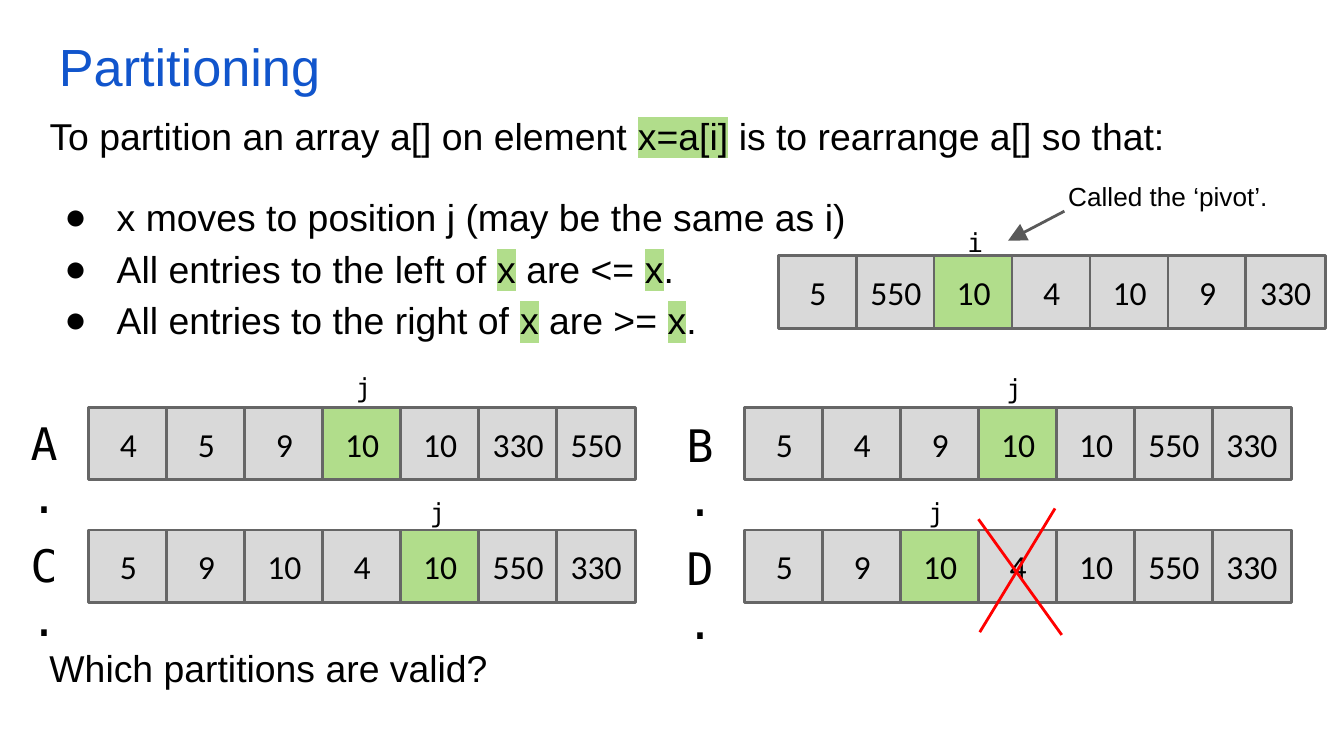
from dataclasses import dataclass

from lxml.etree import SubElement
from pptx import Presentation
from pptx.dml.color import RGBColor
from pptx.enum.shapes import MSO_CONNECTOR, MSO_SHAPE
from pptx.enum.text import MSO_ANCHOR, PP_ALIGN
from pptx.oxml.ns import qn
from pptx.util import Inches, Pt

SLIDE_W = Inches(10)
SLIDE_H = SLIDE_W * 9 // 16


@dataclass(frozen=True)
class Theme:
    heading: str = "1155CC"
    ink: str = "000000"
    pivot: str = "B1DD8B"
    cell: str = "D9D9D9"
    border: str = "666666"
    arrow: str = "595959"
    cross: str = "FF0000"
    sans: str = "Arial"
    digits: str = "Calibri"
    mono: str = "DejaVu Sans Mono"
    title_size: int = 28
    label_size: int = 24
    body_size: int = 20
    cell_size: int = 18
    note_size: int = 14
    line_width: float = 1.5


THEME = Theme()

# Array grid, in percent of the slide's width and height
PITCH, CELL_W, CELL_H = 5.8, 5.9, 9.61
LEFT_COLUMN, RIGHT_COLUMN = 6.6, 55.4
UPPER_ROW, LOWER_ROW = 53.87, 70.1


def across(percent):
    return round(SLIDE_W * percent / 100)


def down(percent):
    return round(SLIDE_H * percent / 100)


def area(left, top, width, height):
    return across(left), down(top), across(width), down(height)


def color(value):
    return RGBColor.from_string(value)


def style_run(run, font, size, ink=THEME.ink):
    run.font.name = font
    run.font.size = Pt(size)
    run.font.color.rgb = color(ink)


def highlight(run):
    mark = SubElement(run.font._element, qn("a:highlight"))
    SubElement(mark, qn("a:srgbClr"), val=THEME.pivot)
    run.font._element.find(qn("a:solidFill")).addnext(mark)


def set_margins(frame):
    frame.word_wrap = True
    frame.margin_left = frame.margin_right = Inches(0.1)
    frame.margin_top = frame.margin_bottom = Inches(0.1)


def add_text_frame(slide, *place):
    frame = slide.shapes.add_textbox(*area(*place)).text_frame
    set_margins(frame)
    return frame


def add_label(slide, words, place, font, size, ink=THEME.ink):
    frame = add_text_frame(slide, *place)
    frame.text = words
    style_run(frame.paragraphs[0].runs[0], font, size, ink)


def add_bullet(paragraph):
    properties = paragraph._p.get_or_add_pPr()
    properties.set("marL", str(Inches(0.5)))
    properties.set("indent", str(Inches(-0.39)))
    tint = SubElement(properties, qn("a:buClr"))
    SubElement(tint, qn("a:srgbClr"), val=THEME.ink)
    SubElement(properties, qn("a:buSzPts"), val=str(THEME.body_size * 100))
    SubElement(properties, qn("a:buFont"), typeface=THEME.sans)
    SubElement(properties, qn("a:buChar"), char="●")


def write_body(paragraph, pieces, bullet=False, space_after=0):
    """Every second piece of the sentence is highlighted."""
    if bullet:
        add_bullet(paragraph)
    paragraph.line_spacing = 1.15
    paragraph.space_after = Pt(space_after)
    for index, piece in enumerate(pieces):
        run = paragraph.add_run()
        run.text = piece
        style_run(run, THEME.sans, THEME.body_size)
        if index % 2:
            highlight(run)


def add_cell(slide, value, left, top, fill):
    cell = slide.shapes.add_shape(
        MSO_SHAPE.RECTANGLE, *area(left, top, CELL_W, CELL_H))
    cell.shadow.inherit = False
    cell.fill.solid()
    cell.fill.fore_color.rgb = color(fill)
    cell.line.color.rgb = color(THEME.border)
    cell.line.width = Pt(THEME.line_width)
    frame = cell.text_frame
    set_margins(frame)
    frame.vertical_anchor = MSO_ANCHOR.MIDDLE
    frame.text = str(value)
    frame.paragraphs[0].alignment = PP_ALIGN.CENTER
    style_run(frame.paragraphs[0].runs[0], THEME.digits, THEME.cell_size)


def add_array(slide, values, pivot, left, top, marker, shift, lift):
    """Row of cells with an index marker above the pivot cell."""
    for index, value in enumerate(values):
        fill = THEME.pivot if index == pivot else THEME.cell
        add_cell(slide, value, left + index * PITCH, top, fill)
    place = (left + pivot * PITCH + shift, top - lift, 2.9, 4.27)
    add_label(slide, marker, place, THEME.mono, THEME.note_size)


def add_line(slide, start, end, ink, arrow=False):
    line = slide.shapes.add_connector(
        MSO_CONNECTOR.STRAIGHT, across(start[0]), down(start[1]),
        across(end[0]), down(end[1]))
    line.line.color.rgb = color(ink)
    line.line.width = Pt(THEME.line_width)
    if arrow:
        SubElement(line.line._get_or_add_ln(), qn("a:tailEnd"),
                   type="triangle", w="lg", len="lg")
    SubElement(line._element.spPr, qn("a:effectLst"))


def main():
    deck = Presentation()
    deck.slide_width, deck.slide_height = SLIDE_W, SLIDE_H
    slide = deck.slides.add_slide(deck.slide_layouts[6])

    # Title and definition
    add_label(slide, "Partitioning", (3.4, 2.7, 93.2, 11.2),
              THEME.sans, THEME.title_size, THEME.heading)
    definition = add_text_frame(slide, 2.7, 12.28, 95.9, 35.59)
    write_body(definition.paragraphs[0],
               ["To partition an array a[] on element ", "x=a[i]",
                " is to rearrange a[] so that:"], space_after=16)
    conditions = [
        (["x moves to position j (may be the same as i)"], 0),
        (["All entries to the left of ", "x", " are <= ", "x", "."], 0),
        (["All entries to the right of ", "x", " are >= ", "x", "."], 16),
    ]
    for pieces, space_after in conditions:
        write_body(definition.add_paragraph(), pieces, True, space_after)

    # Question
    question = add_text_frame(slide, 2.7, 82.7, 94.3, 17.26)
    write_body(question.paragraphs[0], ["Which partitions are valid?"],
               space_after=16)

    # Array before partitioning
    add_array(slide, [5, 550, 10, 4, 10, 9, 330], 2, 57.9, 33.81, "i", 1.5, 5.7)

    # Candidate partitions: name, values, pivot, left, top, marker shift, lift
    candidates = [
        ("A.", [4, 5, 9, 10, 10, 330, 550], 3, LEFT_COLUMN, UPPER_ROW, 1.5, 6.5),
        ("C.", [5, 9, 10, 4, 10, 550, 330], 4, LEFT_COLUMN, LOWER_ROW, 1.2, 6.23),
        ("B.", [5, 4, 9, 10, 10, 550, 330], 3, RIGHT_COLUMN, UPPER_ROW, 1.1, 6.4),
        ("D.", [5, 9, 10, 4, 10, 550, 330], 2, RIGHT_COLUMN, LOWER_ROW, 1.1, 6.23),
    ]
    for name, values, pivot, left, top, shift, lift in candidates:
        add_array(slide, values, pivot, left, top, "j", shift, lift)
        rise = 0.71 if left == LEFT_COLUMN else 0.36
        add_label(slide, name, (left - 5.3, top - rise, 5.9, 6.05),
                  THEME.mono, THEME.label_size)

    # Pivot note
    add_line(slide, (79.2, 27.94), (75, 31.85), THEME.arrow, arrow=True)
    add_label(slide, "Called the ‘pivot’.", (78.5, 22.06, 18.4, 6.05),
              THEME.sans, THEME.note_size)

    # Cross over the misplaced entry
    add_line(slide, (78.5, 67.26), (72.9, 83.63), THEME.cross)
    add_line(slide, (72.8, 68.68), (79, 83.99), THEME.cross)

    deck.save("out.pptx")


if __name__ == "__main__":
    main()
